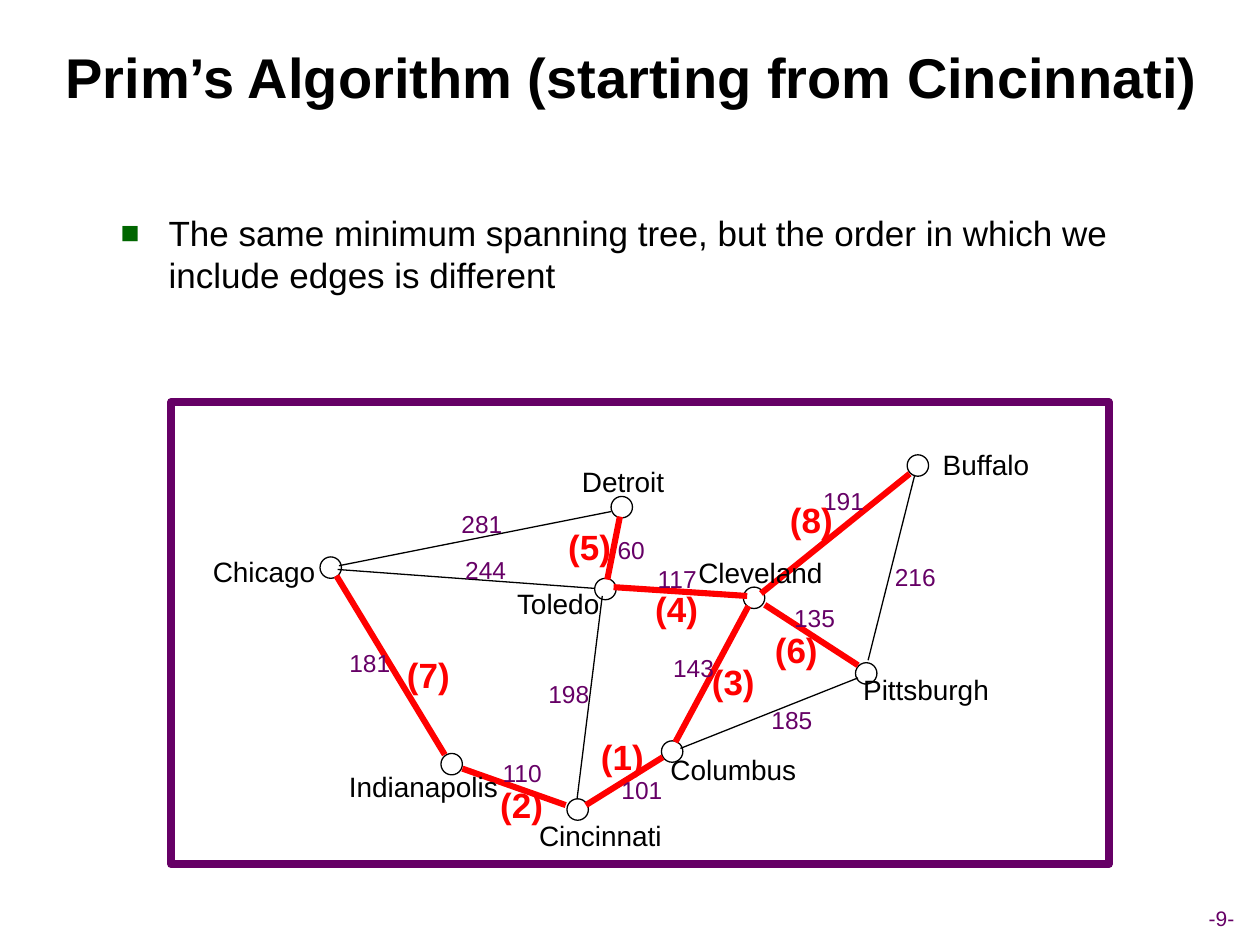
"""Slide showing the order in which Prim's algorithm picks edges between cities."""
from lxml.etree import SubElement
from pptx import Presentation
from pptx.dml.color import RGBColor
from pptx.enum.shapes import MSO_CONNECTOR, MSO_SHAPE
from pptx.enum.text import MSO_ANCHOR, PP_ALIGN
from pptx.oxml.ns import qn
from pptx.util import Inches, Pt

BLACK, PURPLE, RED, GREEN = "000000", "660066", "FF0000", "006600"

prs = Presentation()
prs.slide_width, prs.slide_height = Inches(10), Inches(7.5)
COL, ROW = prs.slide_width / 100, prs.slide_height / 75
slide = prs.slides.add_slide(prs.slide_layouts[6])
shapes = slide.shapes


def paint(target, color):
    target.rgb = RGBColor.from_string(color)


def write(text, col, row, cols, rows, size=16, color=BLACK, bold=False,
          align=PP_ALIGN.CENTER, anchor=MSO_ANCHOR.TOP, wrap=False):
    box = shapes.add_textbox(round(col * COL), round(row * ROW), round(cols * COL), round(rows * ROW))
    frame = box.text_frame
    frame.word_wrap, frame.vertical_anchor = wrap, anchor
    paragraph = frame.paragraphs[0]
    paragraph.alignment = align
    run = paragraph.add_run()
    run.text = text
    run.font.name, run.font.size, run.font.bold = "Arial", Pt(size), bold
    paint(run.font.color, color)
    return paragraph


write("-9-", 91.6, 71.4, 10.7, 3, size=12, color=PURPLE, anchor=MSO_ANCHOR.MIDDLE)
write("Prim’s Algorithm (starting from Cincinnati)", 3.8, 1.3, 92.7, 9.5,
      size=32, bold=True, anchor=MSO_ANCHOR.MIDDLE, wrap=True)
remark = write("The same minimum spanning tree, but the order in which we include edges is different",
               8.6, 16.3, 83.8, 52.5, size=20, align=PP_ALIGN.LEFT, wrap=True)
layout = remark._p.get_or_add_pPr()
layout.set("marL", str(round(3.8 * COL)))
layout.set("indent", str(round(-3.8 * COL)))
SubElement(SubElement(layout, qn("a:buClr")), qn("a:srgbClr"), val=GREEN)
SubElement(layout, qn("a:buSzPct"), val="90000")
SubElement(layout, qn("a:buFont"), typeface="Arial")
SubElement(layout, qn("a:buChar"), char="■")

# city, node corner, label corner, label width
cities = [
    ("Detroit", (48.5, 39.4), (45.2, 36.4), 8.5),
    ("Toledo", (47.2, 45.9), (39.9, 46.1), 8.8),
    ("Cleveland", (59, 46.6), (54.4, 43.6), 11.9),
    ("Buffalo", (72, 36.1), (73.8, 35), 8.9),
    ("Pittsburgh", (67.9, 52.6), (67.5, 52.9), 12),
    ("Columbus", (52.5, 58.8), (52.2, 59.2), 12),
    ("Cincinnati", (45, 63.4), (41.8, 64.5), 11.7),
    ("Chicago", (25.4, 44.2), (15.9, 43.5), 10.1),
    ("Indianapolis", (35, 59.8), (26.7, 60.6), 13.8),
]
roads = [
    ("117", (59.3, 47.3), (48.7, 46.6), (51.1, 44.3)),
    ("191", (60.4, 47.1), (72.2, 37.6), (64.3, 38.1)),
    ("135", (68.1, 52.8), (60.7, 48), (62, 47.4)),
    ("281", (48.5, 40.6), (26.9, 44.9), (35.6, 39.9)),
    ("143", (53.6, 58.9), (59.4, 48.1), (52.4, 51.3)),
    ("110", (44.9, 63.9), (36.7, 61), (38.8, 59.7)),
    ("101", (52.6, 60.1), (46.5, 63.9), (48.3, 61)),
    ("181", (35.3, 59.9), (26.7, 45.7), (26.7, 50.9)),
    ("216", (68.9, 52.4), (72.6, 37.7), (70, 44.1)),
    ("185", (68.1, 53.8), (54, 59.4), (60.2, 55.5)),
    ("60", (49.2, 41), (48.2, 46), (47.45, 42)),
    ("198", (45.8, 63.4), (47.8, 47.3), (42.5, 53.4)),
    ("244", (26.8, 45.2), (47.2, 46.7), (35.9, 43.6)),
]
picked = {
    "101": ("(1)", (46.7, 57.9)), "110": ("(2)", (38.7, 61.7)),
    "143": ("(3)", (55.5, 51.9)), "117": ("(4)", (51, 46.1)),
    "60": ("(5)", (44.1, 41.2)), "135": ("(6)", (60.5, 49.4)),
    "181": ("(7)", (31.3, 51.4)), "191": ("(8)", (61.7, 39.1)),
}

outlines = [(MSO_SHAPE.OVAL, *corner, 1.7, 1.7, BLACK, 0.75) for _, corner, _, _ in cities]
outlines.append((MSO_SHAPE.RECTANGLE, 13.6, 31.9, 74.4, 36.7, PURPLE, 4.5))
for kind, col, row, cols, rows, color, weight in outlines:
    outline = shapes.add_shape(kind, round(col * COL), round(row * ROW), round(cols * COL), round(rows * ROW))
    outline.shadow.inherit = False
    outline.fill.background()
    paint(outline.line.color, color)
    outline.line.width = Pt(weight)

for miles, (x1, y1), (x2, y2), _ in roads:
    road = shapes.add_connector(MSO_CONNECTOR.STRAIGHT, round(x1 * COL), round(y1 * ROW),
                                round(x2 * COL), round(y2 * ROW))
    paint(road.line.color, RED if miles in picked else BLACK)
    road.line.width = Pt(3.5 if miles in picked else 0.75)
    SubElement(road._element.spPr, qn("a:effectLst"))

for city, _, corner, cols in cities:
    write(city, *corner, cols, 3.7)
for miles, _, _, corner in roads:
    write(miles, *corner, 5.3, 3.3, size=14, color=PURPLE)
for step, corner in picked.values():
    write(step, *corner, 5.4, 4.4, size=20, color=RED, bold=True)

prs.save("out.pptx")
